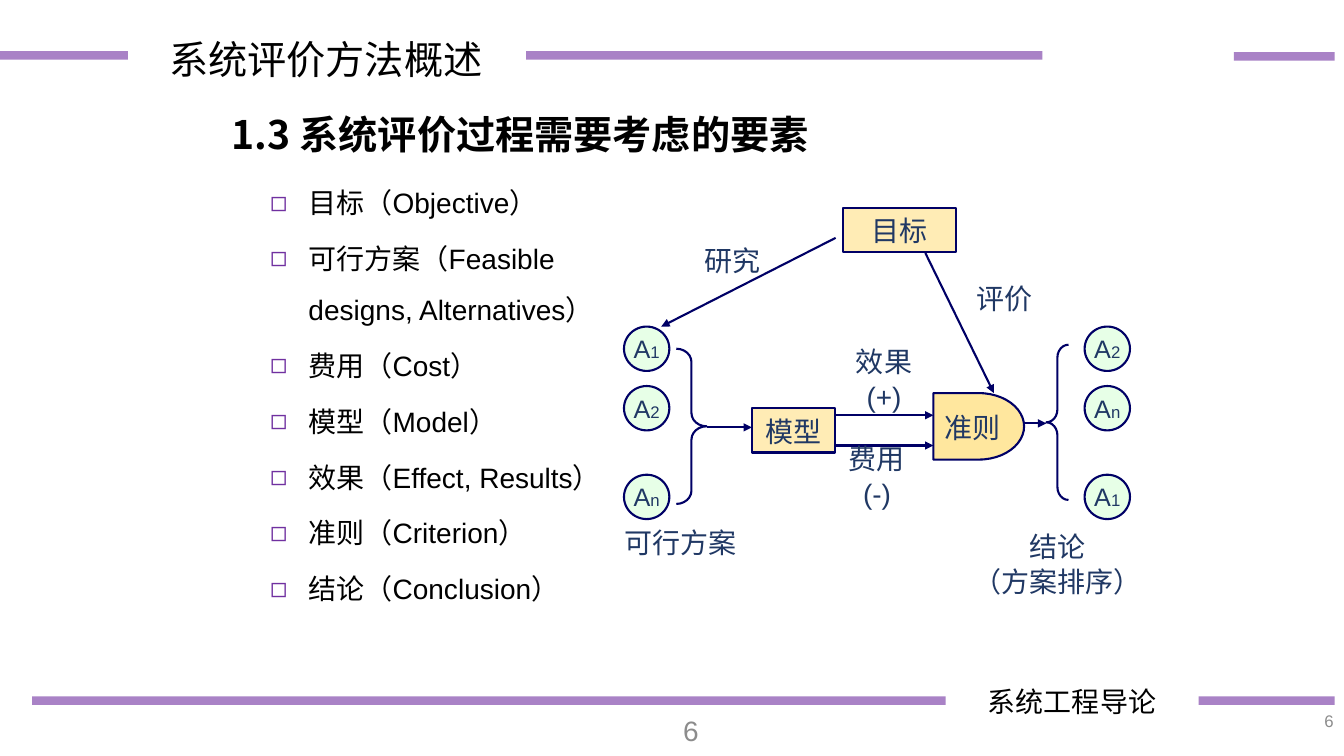
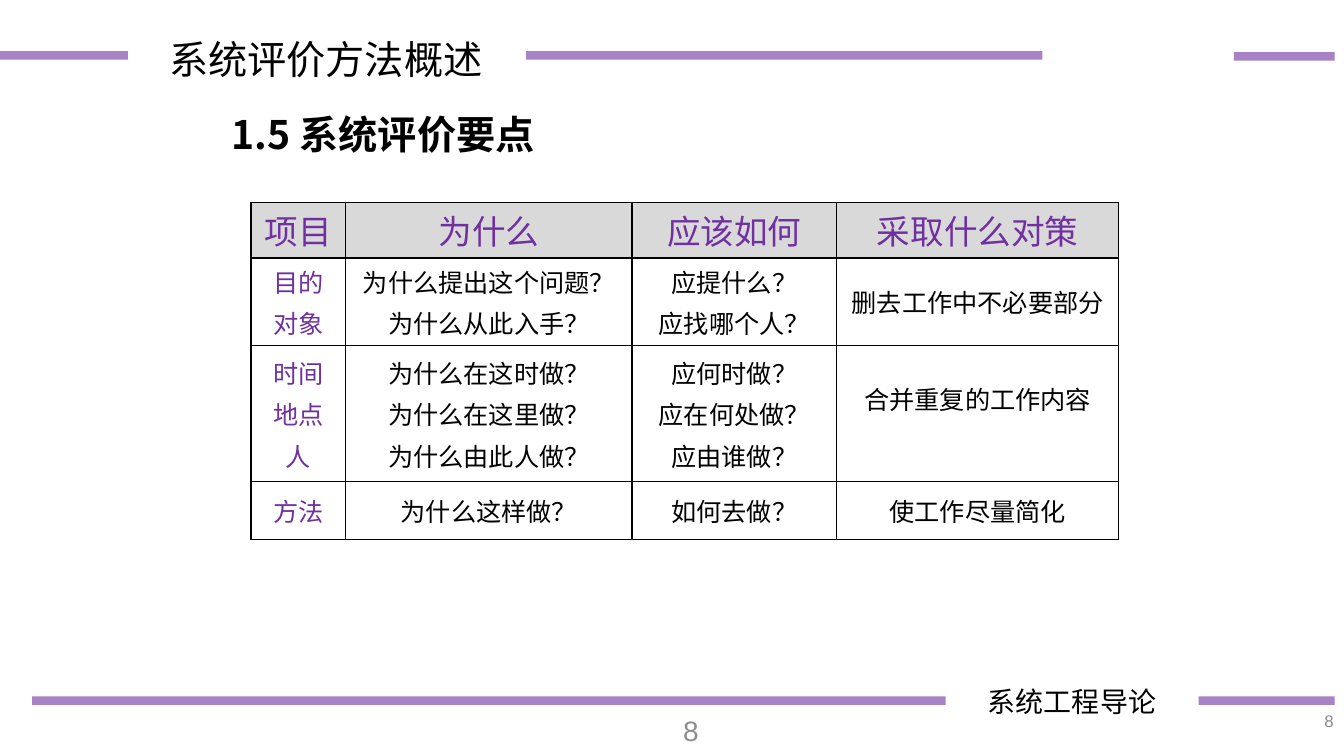
import dataclasses

import lxml.etree
import pptx
import pptx.dml.color
import pptx.enum.shapes
import pptx.enum.text
import pptx.oxml.ns
import pptx.util

SHAPES = pptx.enum.shapes.MSO_SHAPE
ALIGN = pptx.enum.text.PP_ALIGN
ANCHOR = pptx.enum.text.MSO_ANCHOR
CELL = pptx.util.Inches(0.1)  # the slide is a grid of tenth-inch columns and rows


@dataclasses.dataclass(frozen=True)
class Theme:
    latin: str = "Arial"
    chinese: str = "Noto Sans CJK SC"
    purple: str = "7030A0"
    black: str = "000000"
    navy: str = "000066"
    label: str = "203864"
    gray: str = "8C8C8C"
    header_fill: str = "D9D9D9"
    amber: str = "FFC000"
    green: str = "CCFFCC"
    title: float = 28
    table_header: float = 24
    body: float = 20
    cell: float = 18
    small: float = 12
    leading: float = 1.25  # line height as a share of the type size


THEME = Theme()


# Basic helpers
def grid(*counts):
    return [round(count * CELL) for count in counts]


def rgb(color):
    return pptx.dml.color.RGBColor.from_string(color)


def add_element(parent, tag, **attributes):
    return lxml.etree.SubElement(parent, pptx.oxml.ns.qn(tag), **attributes)


def set_opacity(shape, percent):
    color = next(shape._element.spPr.iter(pptx.oxml.ns.qn("a:srgbClr")))
    add_element(color, "a:alpha", val=str(percent * 1000))


def add_bullet(paragraph, character, indent):
    properties = paragraph._p.get_or_add_pPr()
    properties.set("marL", str(indent))
    properties.set("indent", str(-indent))
    color = add_element(properties, "a:buClr")
    add_element(color, "a:srgbClr", val=THEME.purple)
    add_element(properties, "a:buChar", char=character)


def write_text(frame, lines, size=THEME.body, color=THEME.black, font=THEME.latin,
               bold=False, align=ALIGN.LEFT, leading=THEME.leading, gap=0, bullet=None):
    """Each line is a string or a list of (text, size) runs; leading None is natural."""
    for index, line in enumerate(lines):
        paragraph = frame.paragraphs[0] if index == 0 else frame.add_paragraph()
        paragraph.alignment = align
        paragraph.space_before = pptx.util.Pt(gap if index else 0)
        if leading:
            paragraph.line_spacing = pptx.util.Pt(size * leading)
        if bullet:
            add_bullet(paragraph, bullet, grid(3.8)[0])
        for text, run_size in [(line, size)] if isinstance(line, str) else line:
            run = paragraph.add_run()
            run.text = text
            run.font.size = pptx.util.Pt(run_size)
            run.font.bold = bold
            run.font.color.rgb = rgb(color)
            run.font.name = font
            add_element(run._r.get_or_add_rPr(), "a:ea", typeface=THEME.chinese)


def set_frame(frame, anchor=ANCHOR.TOP, wrap=True, inset=None):
    frame.auto_size = pptx.enum.text.MSO_AUTO_SIZE.NONE
    frame.word_wrap = wrap
    frame.vertical_anchor = anchor
    if inset is not None:
        frame.margin_left = frame.margin_right = inset
        frame.margin_top = frame.margin_bottom = inset


def add_label(slide, box, lines, anchor=ANCHOR.TOP, wrap=True, **text_format):
    frame = slide.shapes.add_textbox(*grid(*box)).text_frame
    set_frame(frame, anchor, wrap)
    write_text(frame, lines, **text_format)


def fill_placeholder(placeholder, box, lines, **text_format):
    placeholder.left, placeholder.top, placeholder.width, placeholder.height = grid(*box)
    set_frame(placeholder.text_frame)
    write_text(placeholder.text_frame, lines, **text_format)


def add_line(slide, start, end, color=THEME.navy, width=1.5, arrow=True):
    connector = slide.shapes.add_connector(
        pptx.enum.shapes.MSO_CONNECTOR.STRAIGHT, *grid(*start, *end))
    connector.line.color.rgb = rgb(color)
    connector.line.width = pptx.util.Pt(width)
    properties = connector._element.spPr
    if arrow:
        add_element(properties.find(pptx.oxml.ns.qn("a:ln")), "a:tailEnd", type="triangle")
    add_element(properties, "a:effectLst")
    return connector


# Diagram parts
def add_outline(slide, kind, box):
    shape = slide.shapes.add_shape(kind, *grid(*box))
    shape.shadow.inherit = False
    shape.fill.background()
    shape.line.color.rgb = rgb(THEME.navy)
    shape.line.width = pptx.util.Pt(1.5)
    return shape


def add_node(slide, kind, box, line, fill, opacity, **text_format):
    shape = add_outline(slide, kind, box)
    shape.fill.solid()
    shape.fill.fore_color.rgb = rgb(fill)
    set_opacity(shape, opacity)
    set_frame(shape.text_frame, ANCHOR.MIDDLE, wrap=False, inset=0)
    write_text(shape.text_frame, [line], color=THEME.label, align=ALIGN.CENTER, **text_format)


def add_brace(slide, kind, box, curl):
    brace = add_outline(slide, kind, box)
    brace.adjustments[0] = curl
    brace.adjustments[1] = 0.5


def add_alternatives(slide, left, subscripts):
    for top, subscript in zip((32.4, 38.3, 47.1), subscripts):
        add_node(slide, SHAPES.OVAL, (left, top, 4.5, 4.4),
                 [("A", THEME.cell), (subscript, THEME.small)],
                 THEME.green, 47, size=THEME.cell, leading=None)


def add_diagram(slide):
    # Nodes
    add_node(slide, SHAPES.RECTANGLE, (83.6, 20.6, 11.2, 4.4), "目标", THEME.amber, 29)
    add_node(slide, SHAPES.RECTANGLE, (74.6, 40.5, 8.2, 4.4), "模型", THEME.amber, 29)
    add_node(slide, SHAPES.FLOWCHART_DELAY, (92.6, 39, 9, 6.6), "准则", THEME.amber, 38)
    add_alternatives(slide, 61.9, "12n"[0:3])
    add_alternatives(slide, 107.6, "2n1")
    add_brace(slide, SHAPES.RIGHT_BRACE, (67.1, 34.6, 3, 15.4), 0.44)
    add_brace(slide, SHAPES.LEFT_BRACE, (103.8, 34.2, 2.2, 15.4), 0.58)

    # Arrows
    for start, end in (
        ((70.1, 42.4), (74.6, 42.4)),
        ((82.9, 41.2), (92.6, 41.2)),
        ((82.9, 44.2), (92.6, 44.2)),
        ((101.6, 42), (103.8, 42)),
        ((91.8, 25.1), (98.6, 39)),
        ((82.9, 23.6), (65.6, 32.4)),
    ):
        add_line(slide, start, end)

    # Captions
    for left, top, width, lines in (
        (82.1, 35.3, 11.2, ["效果", "(+)"]),
        (81.4, 44.9, 11.2, ["费用", "(-)"]),
        (94.1, 27.3, 11.2, ["评价"]),
        (67.1, 23.6, 11.2, ["研究"]),
        (61.9, 51.5, 11.2, ["可行方案"]),
        (97.8, 53.7, 14.2, ["结论", "（方案排序）"]),
    ):
        add_label(slide, (left, top, width, 4.4), lines, ANCHOR.MIDDLE, wrap=False,
                  color=THEME.label, align=ALIGN.CENTER)


# Table
def style_cell(cell, lines, is_header, is_heading):
    properties = cell._tc.get_or_add_tcPr()
    for side in ("a:lnL", "a:lnR", "a:lnT", "a:lnB"):
        border = add_element(properties, side, w=str(pptx.util.Pt(1)))
        add_element(add_element(border, "a:solidFill"), "a:srgbClr", val=THEME.black)
    if is_header:
        cell.fill.solid()
        cell.fill.fore_color.rgb = rgb(THEME.header_fill)
    else:
        cell.fill.background()
    cell.vertical_anchor = ANCHOR.MIDDLE
    cell.margin_top = cell.margin_bottom = 0
    size = THEME.table_header if is_header else THEME.cell
    write_text(cell.text_frame, lines, size=size, gap=size * 0.2, leading=None,
               color=THEME.purple if is_header or is_heading else THEME.black,
               align=ALIGN.CENTER)


def add_grid_table(slide, left, top, widths, heights, rows):
    table = slide.shapes.add_table(
        len(heights), len(widths), *grid(left, top, sum(widths), sum(heights))).table
    table.first_row = table.horz_banding = False
    for column, width in zip(table.columns, grid(*widths)):
        column.width = width
    for row, height in zip(table.rows, grid(*heights)):
        row.height = height
    for row_index, row in enumerate(rows):
        for column_index, text in enumerate(row):
            style_cell(table.cell(row_index, column_index), text.split("\n"),
                       row_index == 0, column_index == 0)
    return table


# Shared frame: bands, running titles, page numbers and the section title
def add_slide(presentation, layout_index, number, title):
    slide = presentation.slides.add_slide(presentation.slide_layouts[layout_index])
    for left, right, row in ((0, 12.7, 5.5), (52.2, 103.4, 5.5), (122.4, 132.4, 5.6),
                             (3.2, 93.8, 69.5), (118.9, 132.4, 69.5)):
        band = add_line(slide, (left, row), (right, row), THEME.purple, 6, arrow=False)
        set_opacity(band, 60)
    add_label(slide, (15.8, 2.8, 33.4, 5.7), ["系统评价方法概述"], wrap=False,
              size=THEME.title, font=THEME.chinese)
    add_label(slide, (93.8, 67.3, 25.1, 4.4), ["系统工程导论"],
              font=THEME.chinese, align=ALIGN.CENTER)
    for box, size in (((63, 70.5, 7.3, 4), THEME.body), ((103.3, 69.5, 30, 4), THEME.small)):
        add_label(slide, box, [number], ANCHOR.MIDDLE, size=size, color=THEME.gray,
                  align=ALIGN.RIGHT, leading=None)
    fill_placeholder(slide.shapes.title, (22, 10.2, 93.9, 5.9), [title],
                     size=THEME.title, font=THEME.chinese, bold=True)
    return slide


def add_elements_slide(presentation):
    slide = add_slide(presentation, 1, "6", "1.3 系统评价过程需要考虑的要素")
    fill_placeholder(slide.placeholders[1], (25.8, 16.2, 39.2, 45.4), [
        "目标（Objective）",
        "可行方案（Feasible designs, Alternatives）",
        "费用（Cost）",
        "模型（Model）",
        "效果（Effect, Results）",
        "准则（Criterion）",
        "结论（Conclusion）",
    ], leading=1.82, gap=3.5, bullet="◻")
    add_diagram(slide)


def add_key_points_slide(presentation):
    slide = add_slide(presentation, 5, "8", "1.5 系统评价要点")
    table = add_grid_table(slide, 24.9, 20.1, (9.4, 28.4, 20.3, 28), (5.5, 8.7, 13.5, 5.7), (
        ("项目", "为什么", "应该如何", "采取什么对策"),
        ("目的\n对象", "为什么提出这个问题？\n为什么从此入手？",
         "应提什么？\n应找哪个人？", "删去工作中不必要部分"),
        ("时间\n地点\n人", "为什么在这时做？\n为什么在这里做？\n为什么由此人做？",
         "应何时做？\n应在何处做？\n应由谁做？", "合并重复的工作内容"),
        ("方法", "为什么这样做？", "如何去做？", "使工作尽量简化"),
    ))
    # The merged-work remedy sits a little above the middle of its row
    table.cell(2, 3).margin_bottom = grid(3)[0]


def main():
    presentation = pptx.Presentation()
    presentation.slide_width, presentation.slide_height = grid(133.33, 75)
    add_elements_slide(presentation)
    add_key_points_slide(presentation)
    presentation.save("out.pptx")


if __name__ == "__main__":
    main()
